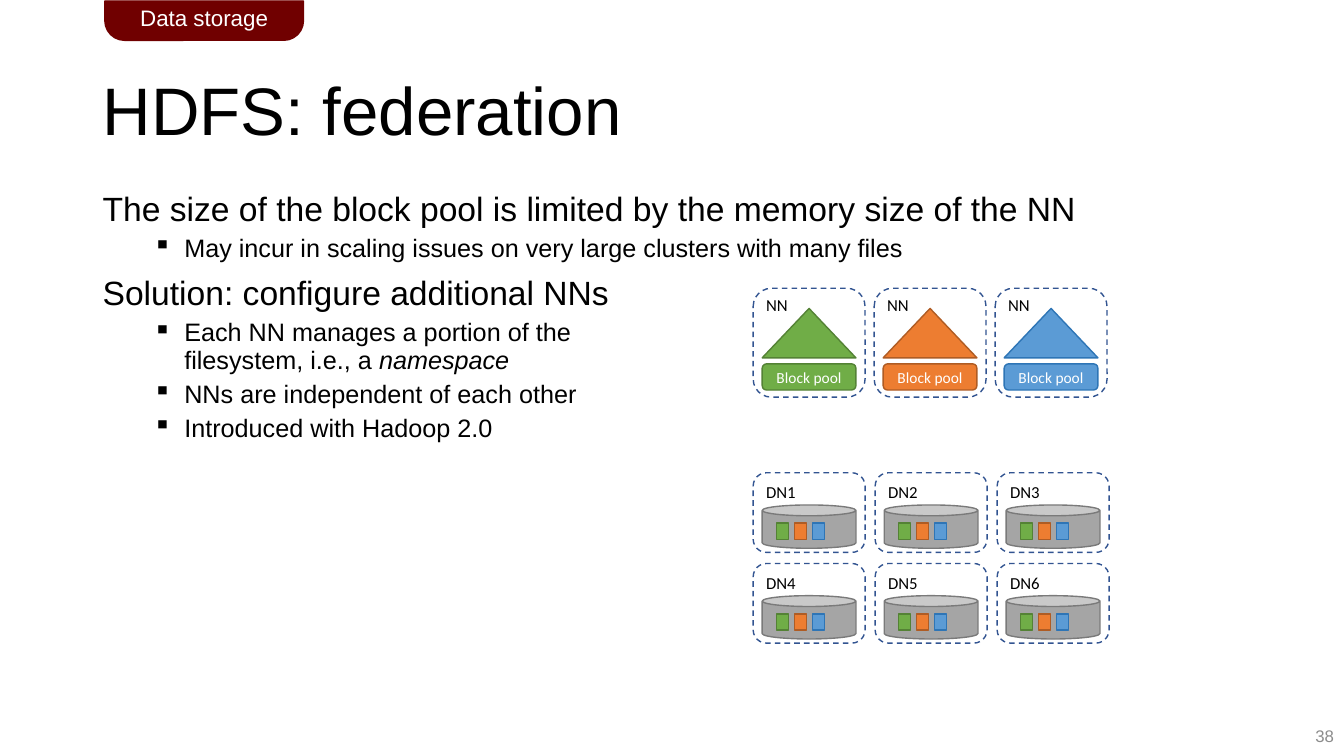
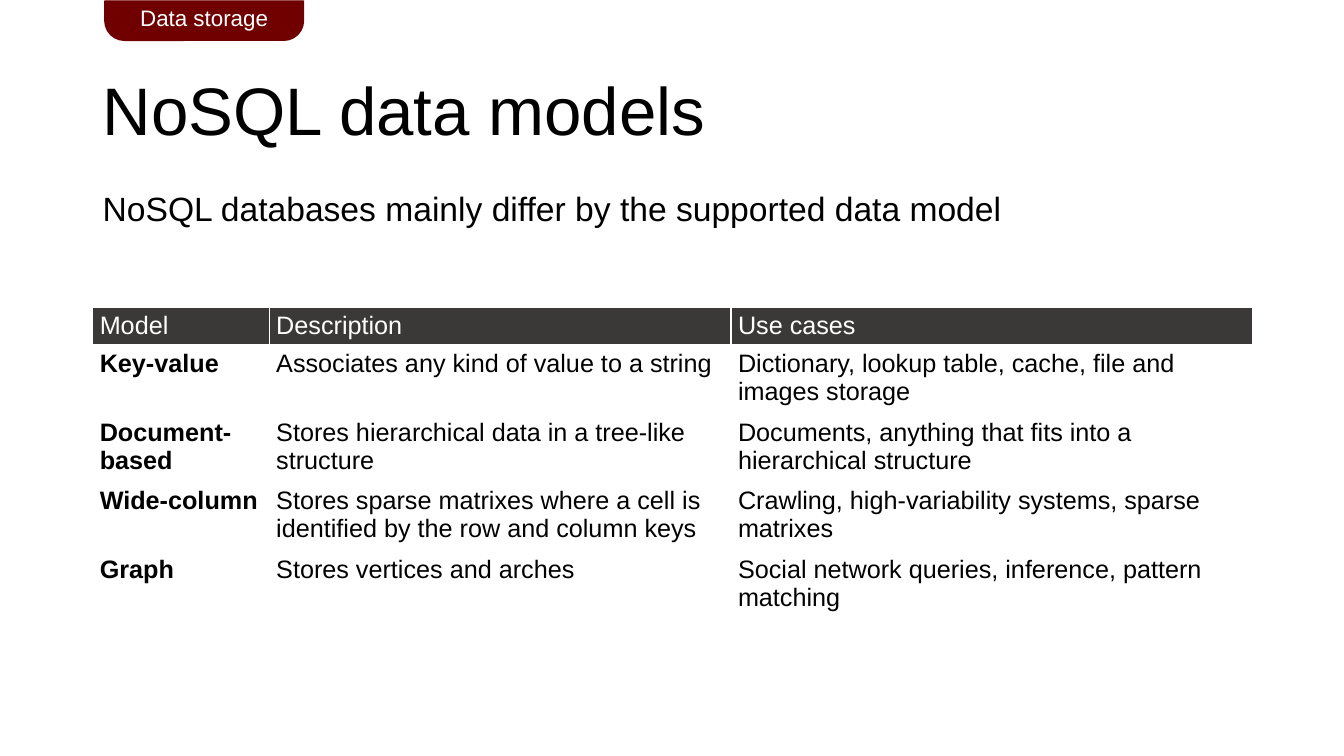
from lxml.etree import SubElement
from pptx import Presentation
from pptx.dml.color import RGBColor
from pptx.enum.dml import MSO_LINE_DASH_STYLE as Dash
from pptx.enum.shapes import MSO_SHAPE as Preset
from pptx.enum.text import MSO_ANCHOR as Anchor, PP_ALIGN as Align
from pptx.oxml.ns import qn
from pptx.util import Pt

EMU_PER_PX = 9144
HEADING, DIAGRAM = "Arial", "Calibri"
BLACK, WHITE, MAROON, CHARCOAL = "000000", "FFFFFF", "700000", "3B3838"
PAGE_GRAY, NODE_BORDER = "8C8C8C", "325491"
STORAGE = ("A5A5A5", "7A7A7A")
NAMESPACES = [("70AD47", "548235"), ("ED7D31", "AF5C24"), ("5B9BD5", "2E75B6")]


def px(length):
    return length * EMU_PER_PX


def paint(color_format, color):
    color_format.rgb = RGBColor.from_string(color)


def assign(target, values):
    for name, value in values.items():
        setattr(target, name, value)


class Deck:
    def __init__(self, width, height):
        self.presentation = Presentation()
        assign(self.presentation, {"slide_width": px(width), "slide_height": px(height)})
        self.slide = None

    def start(self, title):
        self.slide = self.presentation.slides.add_slide(self.presentation.slide_layouts[6])
        self.text((92, 40, 1150, 145), title, 48, anchor=Anchor.MIDDLE, spacing=0.9)
        section = self.shape(Preset.ROUND_2_SAME_RECTANGLE, (104, 1, 197, 39), MAROON, MAROON)
        section.adjustments[0], section.adjustments[1] = 0, 0.5
        self.caption(section, "Data storage", 16, HEADING)

    def style(self, paragraph, size, color=BLACK, font=HEADING, bold=False):
        for run in paragraph.runs:
            assign(run.font, {"size": Pt(size), "name": font, "bold": bold})
            paint(run.font.color, color)

    def text(self, box, words, size, color=BLACK, font=HEADING, align=Align.LEFT,
             anchor=Anchor.TOP, wrap=True, spacing=1.0):
        frame = self.slide.shapes.add_textbox(*map(px, box)).text_frame
        assign(frame, {"word_wrap": wrap, "vertical_anchor": anchor})
        paragraph = frame.paragraphs[0]
        assign(paragraph, {"text": words, "alignment": align, "line_spacing": spacing})
        self.style(paragraph, size, color, font)

    def body(self, points):
        frame = self.slide.shapes.add_textbox(*map(px, (92, 186, 1150, 476))).text_frame
        frame.word_wrap = True
        for index, (level, words, emphasis) in enumerate(points):
            paragraph = frame.add_paragraph() if index else frame.paragraphs[0]
            paragraph.text = words
            if emphasis:
                assign(paragraph.add_run(), {"text": emphasis})
                paragraph.runs[-1].font.italic = True
            if level:
                properties = paragraph._p.get_or_add_pPr()
                properties.set("marL", str(px(81)))
                properties.set("indent", str(px(-31)))
                SubElement(properties, qn("a:buChar"), char="▪")
            assign(paragraph, {"level": level, "line_spacing": 0.9})
            if index:
                paragraph.space_before = Pt(5 if level else 10)
            self.style(paragraph, 18 if level else 24)

    def shape(self, preset, box, fill, border, dash=None):
        figure = self.slide.shapes.add_shape(preset, *map(px, box))
        figure.shadow.inherit = False
        if fill:
            figure.fill.solid()
            paint(figure.fill.fore_color, fill)
        else:
            figure.fill.background()
        paint(figure.line.color, border)
        assign(figure.line, {"width": Pt(1), "dash_style": dash})
        return figure

    def caption(self, figure, words, size, font):
        figure.text_frame.vertical_anchor = Anchor.MIDDLE
        paragraph = figure.text_frame.paragraphs[0]
        assign(paragraph, {"text": words, "alignment": Align.CENTER})
        self.style(paragraph, size, WHITE, font)

    def node(self, left, top, height, label, label_drop):
        self.shape(Preset.ROUNDED_RECTANGLE, (left, top, 111, height), None, NODE_BORDER, Dash.DASH)
        self.text((left + 3, top + label_drop, 50, 30), label, 12, font=DIAGRAM, wrap=False)

    def name_node(self, left, top, colors):
        self.shape(Preset.ISOSCELES_TRIANGLE, (left + 9, top + 20, 93, 49), *colors)
        pool = self.shape(Preset.ROUNDED_RECTANGLE, (left + 9, top + 75, 93, 26), *colors)
        self.caption(pool, "Block pool", 11, DIAGRAM)
        self.node(left, top, 108, "NN", 1)

    def data_node(self, left, top, label):
        self.shape(Preset.CAN, (left + 9, top + 32, 93, 43), *STORAGE)
        for index, colors in enumerate(NAMESPACES):
            self.shape(Preset.RECTANGLE, (left + 23 + 18 * index, top + 50, 12, 16), *colors)
        self.node(left, top, 79, label, 4)

    def table(self, left, top, widths, heights, rows):
        frame = self.slide.shapes.add_table(
            len(rows), len(widths), *map(px, (left, top, sum(widths), sum(heights))))
        grid = frame.table
        assign(grid, {"first_row": False, "horz_banding": False})
        for column, width in zip(grid.columns, widths):
            column.width = px(width)
        for row, height in zip(grid.rows, heights):
            row.height = px(height)
        for row_index, row in enumerate(rows):
            for column_index, words in enumerate(row):
                self.cell(grid.cell(row_index, column_index), words,
                          row_index == 0, column_index == 0)

    def cell(self, cell, words, header, first):
        assign(cell, {"text": words, "margin_left": px(7), "margin_right": px(7),
                      "margin_top": px(4), "margin_bottom": px(4)})
        properties = cell._tc.get_or_add_tcPr()
        for side in "LRTB":
            width = Pt(3 if header and side == "B" else 1)
            border = SubElement(properties, qn(f"a:ln{side}"), w=str(width))
            SubElement(SubElement(border, qn("a:solidFill")), qn("a:srgbClr"), val=WHITE)
        if header:
            cell.fill.solid()
            paint(cell.fill.fore_color, CHARCOAL)
        else:
            cell.fill.background()
        self.style(cell.text_frame.paragraphs[0], 18, WHITE if header else BLACK,
                   bold=first and not header)


def federation(deck):
    deck.start("HDFS: federation")
    deck.body([
        (0, "The size of the block pool is limited by the memory size of the NN", ""),
        (1, "May incur in scaling issues on very large clusters with many files", ""),
        (0, "Solution: configure additional NNs", ""),
        (1, "Each NN manages a portion of the\nfilesystem, i.e., a ", "namespace"),
        (1, "NNs are independent of each other", ""),
        (1, "Introduced with Hadoop 2.0", ""),
    ])
    deck.text((1033, 710, 300, 40), "38", 12, PAGE_GRAY, align=Align.RIGHT, anchor=Anchor.MIDDLE)
    for index, colors in enumerate(NAMESPACES):
        deck.name_node(747 + 120 * index, 286, colors)
    for index in range(6):
        row, column = divmod(index, 3)
        deck.data_node(747 + 121 * column, 469 + 90 * row, f"DN{index + 1}")


def data_models(deck):
    deck.start("NoSQL data models")
    deck.body([(0, "NoSQL databases mainly differ by the supported data model", "")])
    deck.table(92, 305, [175, 458, 517], [30] + [53] * 4, [
        ("Model", "Description", "Use cases"),
        ("Key-value", "Associates any kind of value to a string",
         "Dictionary, lookup table, cache, file and images storage"),
        ("Document-based", "Stores hierarchical data in a tree-like structure",
         "Documents, anything that fits into a hierarchical structure"),
        ("Wide-column", "Stores sparse matrixes where a cell is identified by the row and column keys",
         "Crawling, high-variability systems, sparse matrixes"),
        ("Graph", "Stores vertices and arches",
         "Social network queries, inference, pattern matching"),
    ])


def main():
    deck = Deck(1333, 750)
    federation(deck)
    data_models(deck)
    deck.presentation.save("out.pptx")


if __name__ == "__main__":
    main()
